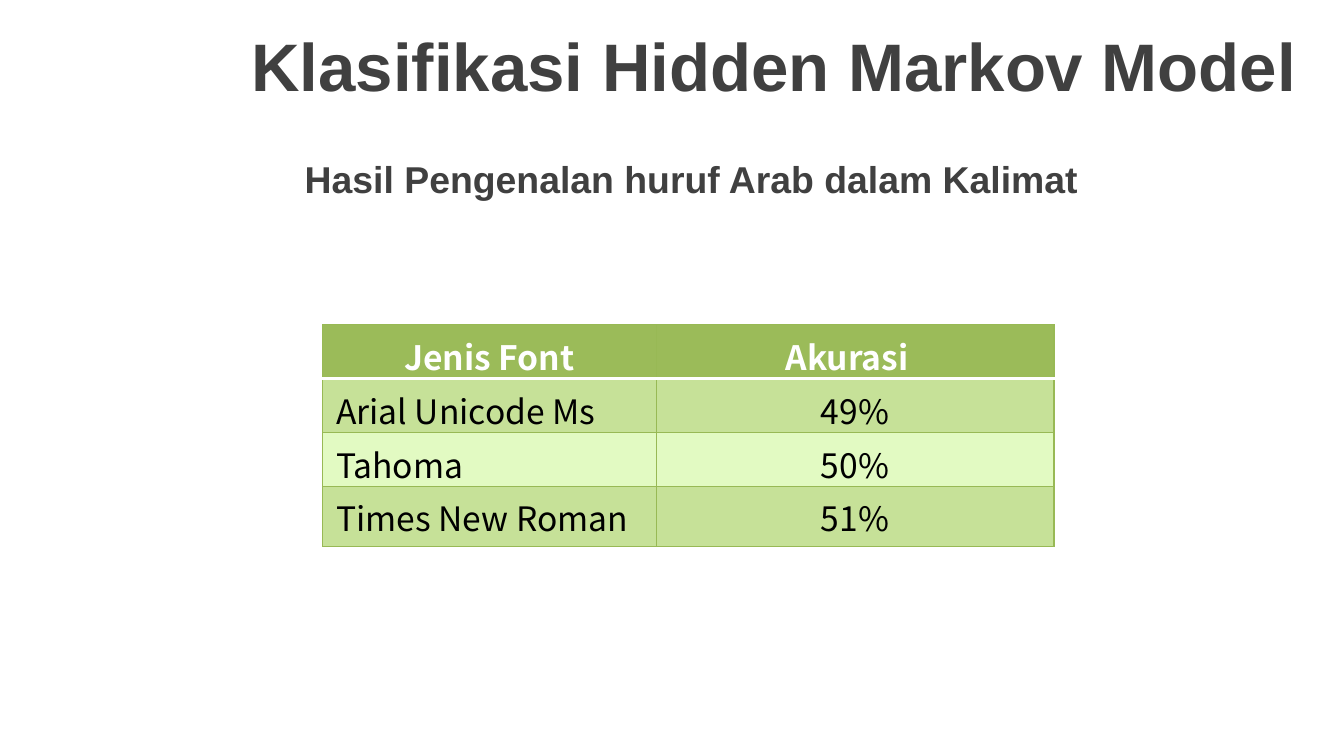
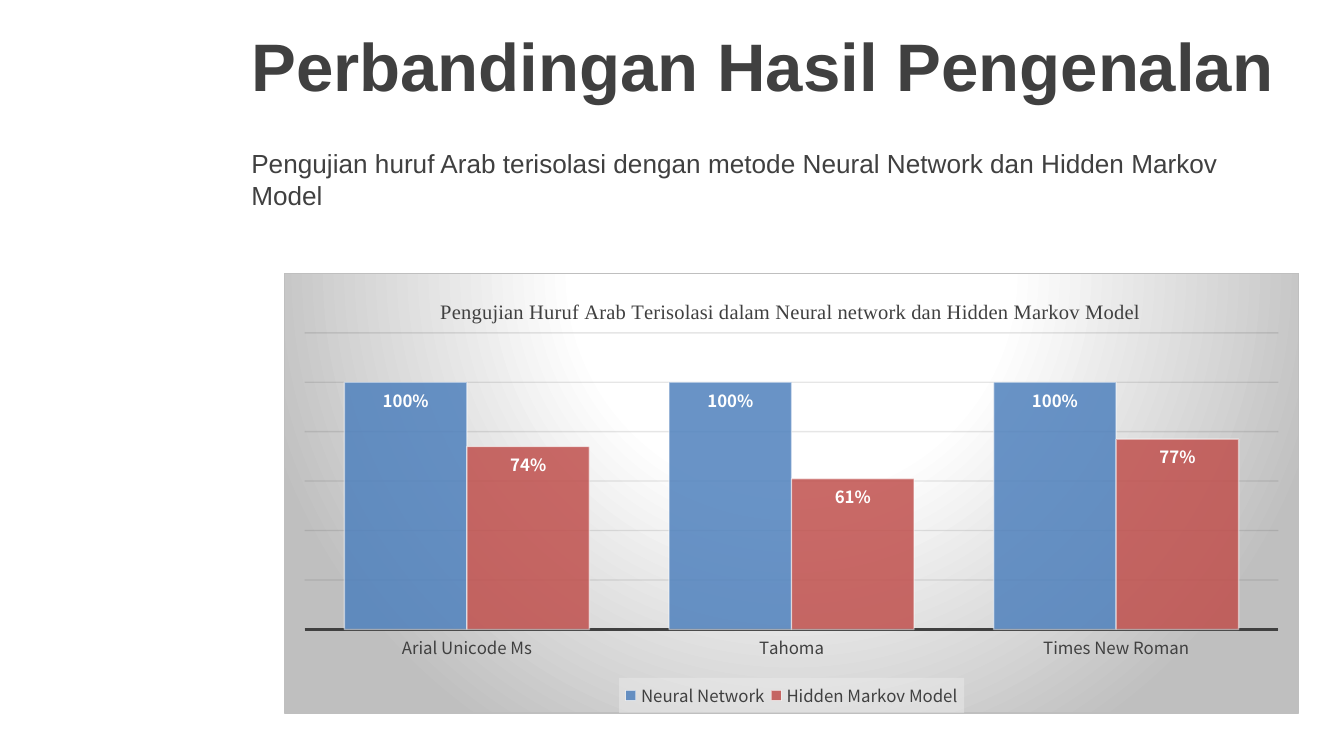
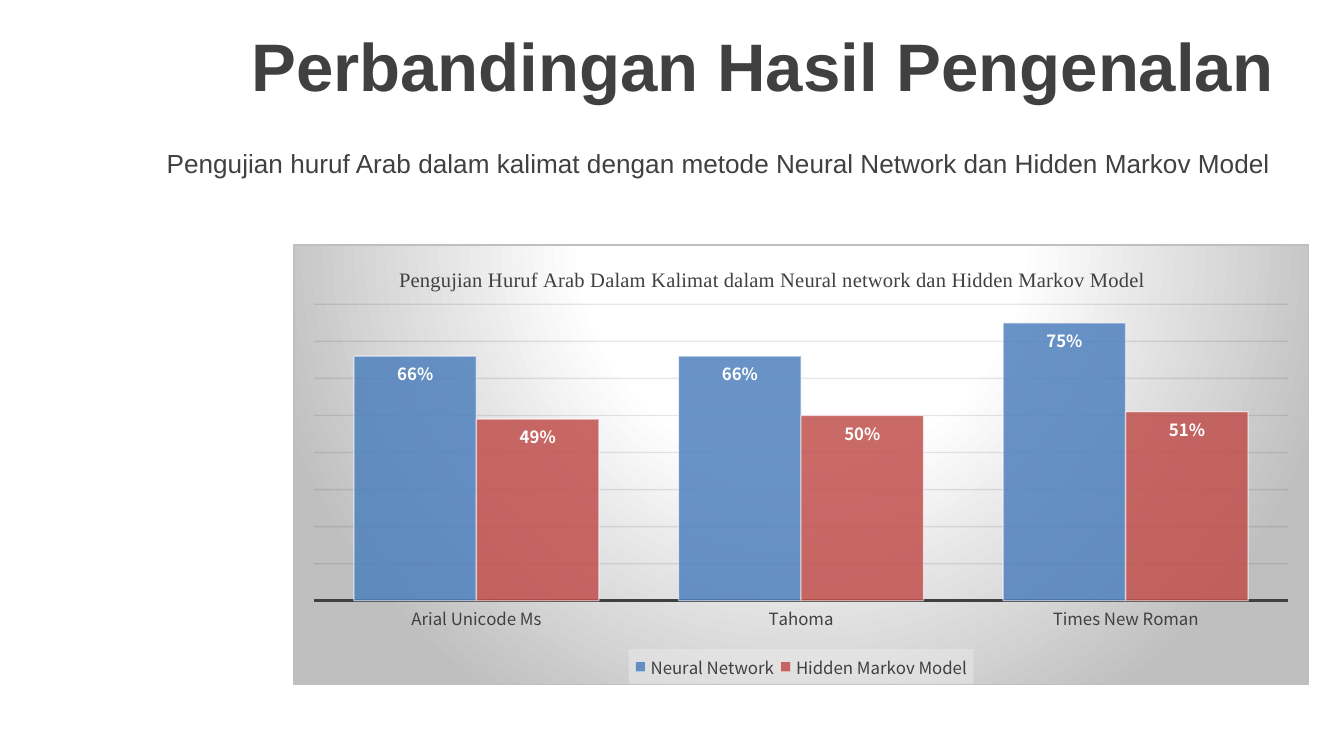
"""Build three slides on the results of Arabic letter recognition."""
from dataclasses import dataclass

from pptx import Presentation, oxml
from pptx.chart.data import CategoryChartData
from pptx.dml.color import RGBColor
from pptx.enum import chart as kinds, text
from pptx.oxml.ns import nsdecls, qn
from pptx.util import Cm, Pt


@dataclass(frozen=True)
class Theme:
    ink: str = "404040"
    black: str = "000000"
    white: str = "FFFFFF"
    head: str = "9BBB59"
    rule: str = "98B955"
    bands: tuple = ("C6E198", "E2FAC2")
    bars: tuple = ("4F81BD", "C0504D")
    grey: str = "BFBFBF"
    grid: str = "0D0D0D"
    key: str = "F2F2F2"
    sans: str = "Arial"
    noto: str = "Noto Sans CJK KR"
    serif: str = "Times New Roman"
    title: int = 36
    lead: int = 20
    body: int = 14
    cell: int = 18
    chart: int = 11
    label: int = 9


T = Theme()
EDGE = 24.7
FONTS = ["Arial Unicode Ms", "Tahoma", "Times New Roman"]
NAMES = ["Neural Network", "Hidden Markov Model"]

SCORES = {
    "title": "Klasifikasi Hidden Markov Model",
    "lead": "Hasil Pengenalan huruf Arab dalam Kalimat",
    "rows": [("Jenis Font", "Akurasi"), *zip(FONTS, ("49%", "50%", "51%"))],
    "cols": (6.3, 7.52),
    "tall": (0.89, 0.89, 0.89, 1.14),
}
PLOTS = [
    {
        "title": "Perbandingan Hasil Pengenalan",
        "lead": "Pengujian huruf Arab terisolasi dengan metode Neural Network dan Hidden Markov Model",
        "left": 4.5,
        "at": (5.36, 5.16),
        "head": "Pengujian Huruf Arab Terisolasi dalam Neural network dan Hidden Markov Model",
        "spot": (0.15, 0.05),
        "vals": [(1, 1, 1), (0.74, 0.61, 0.77)],
        "axis": (1.2, 0.2),
    },
    {
        "title": "Perbandingan Hasil Pengenalan",
        "lead": "Pengujian huruf Arab dalam kalimat dengan metode Neural Network dan Hidden Markov Model",
        "left": 2.9,
        "at": (5.54, 4.62),
        "head": "Pengujian Huruf Arab Dalam Kalimat dalam Neural network dan Hidden Markov Model",
        "spot": (0.1, 0.04),
        "vals": [(0.66, 0.66, 0.75), (0.49, 0.5, 0.51)],
        "axis": (0.8, 0.1),
    },
]


def rgb(tone):
    return RGBColor.from_string(tone)


def style(font, name, size, tone, bold=False):
    font.name, font.size, font.bold = name, Pt(size), bold
    font.color.rgb = rgb(tone)


def write(slide, words, box, size, bold=False, top=False):
    frame = slide.shapes.add_textbox(*map(Cm, box)).text_frame
    frame.word_wrap = True
    frame.vertical_anchor = text.MSO_ANCHOR.MIDDLE
    if top:
        frame.vertical_anchor = text.MSO_ANCHOR.TOP
        frame.margin_top = Cm(0.05)
    para = frame.paragraphs[0]
    para.text = words
    style(para.font, T.sans, size, T.ink, bold)


def start(deck, words):
    slide = deck.slides.add_slide(deck.slide_layouts[6])
    write(slide, words, (4.5, 0, 20.9, 2.46), T.title, True)
    return slide


def border(cell, tones):
    props = cell._tc.get_or_add_tcPr()
    for pos, (side, tone) in enumerate(zip("LRTB", tones)):
        width = Pt(2 if tone == T.white else 0.75)
        props.insert(pos, oxml.parse_xml(
            f'<a:ln{side} {nsdecls("a")} w="{width}"><a:solidFill>'
            f'<a:srgbClr val="{tone}"/></a:solidFill></a:ln{side}>'))


def scores(deck, data):
    slide = start(deck, data["title"])
    write(slide, data["lead"], (5.51, 2.74, 19.2, 1.27), T.lead, True)
    rows, cols, tall = data["rows"], data["cols"], data["tall"]
    table = slide.shapes.add_table(
        len(rows), len(cols), Cm(6.1), Cm(6.14), Cm(sum(cols)), Cm(sum(tall))).table
    for col, width in zip(table.columns, cols):
        col.width = Cm(width)
    for r, row in enumerate(rows):
        table.rows[r].height = Cm(tall[r])
        for c, words in enumerate(row):
            cell = table.cell(r, c)
            cell.fill.solid()
            cell.fill.fore_color.rgb = rgb(T.bands[(r - 1) % 2] if r else T.head)
            para = cell.text_frame.paragraphs[0]
            para.text = words
            style(para.font, T.noto, T.cell, T.black if r else T.white, not r)
            if c or not r:
                para.alignment = text.PP_ALIGN.CENTER
            border(cell, (T.rule, T.rule, T.white if r == 1 else T.rule,
                          T.rule if r else T.white))
    table.cell(0, 1).margin_right = Cm(0.55)


def fade(node, part):
    for tone in node.iter(qn("a:srgbClr")):
        tone.append(oxml.parse_xml(f'<a:alpha {nsdecls("a")} val="{part * 1000}"/>'))


def place(node, pos, spots, inner=False):
    for old in node.findall(qn("c:layout")):
        node.remove(old)
    aim = '<c:layoutTarget val="inner"/>' if inner else ""
    modes = "".join(f'<c:{k}Mode val="edge"/>' for k in "xy")
    sizes = "".join(f'<c:{k} val="{v}"/>' for k, v in zip("xywh", spots))
    node.insert(pos, oxml.parse_xml(
        f'<c:layout {nsdecls("c")}><c:manualLayout>{aim}{modes}{sizes}'
        '</c:manualLayout></c:layout>'))


def paint(node, inside):
    node.addnext(oxml.parse_xml(f'<c:spPr {nsdecls("c", "a")}>{inside}</c:spPr>'))


def back(chart):
    stops = ((0, T.white), (39, T.white), (100, T.grey))
    grad = "".join(f'<a:gs pos="{at * 1000}"><a:srgbClr val="{tone}"/></a:gs>'
                   for at, tone in stops)
    paint(chart._chartSpace.find(qn("c:chart")),
          f'<a:gradFill><a:gsLst>{grad}</a:gsLst><a:path path="circle">'
          '<a:fillToRect l="50000" t="-80000" r="50000" b="180000"/></a:path></a:gradFill>'
          f'<a:ln w="{Pt(0.75)}"><a:solidFill><a:srgbClr val="{T.grey}"/></a:solidFill></a:ln>')


def heading(chart, words, spot):
    title = chart.chart_title
    para = title.text_frame.paragraphs[0]
    para.text = words
    style(para.font, T.serif, T.chart, T.ink)
    title.include_in_layout = False
    place(title._element, 1, spot)


def legend(chart):
    chart.has_legend = True
    key = chart.legend
    key.position = kinds.XL_LEGEND_POSITION.BOTTOM
    key.include_in_layout = False
    style(key.font, T.noto, T.label, T.ink)
    node = key._element
    place(node, 1, (0.33, 0.92, 0.34, 0.08))
    paint(node.find(qn("c:overlay")),
          f'<a:solidFill><a:srgbClr val="{T.key}"><a:alpha val="39000"/>'
          '</a:srgbClr></a:solidFill>')


def axes(chart, top, step):
    cat, val = chart.category_axis, chart.value_axis
    cat.major_tick_mark = kinds.XL_TICK_MARK.NONE
    style(cat.tick_labels.font, T.noto, T.label, T.ink)
    cat.format.line.color.rgb = rgb(T.ink)
    cat.format.line.width = Pt(1.5)
    val.minimum_scale, val.maximum_scale, val.major_unit = 0, top, step
    val.visible = False
    line = val.major_gridlines.format.line
    line.color.rgb = rgb(T.grid)
    line.width = Pt(0.75)
    fade(val._element.find(qn("c:majorGridlines")), 10)


def bars(plot):
    plot.gap_width, plot.overlap, plot.vary_by_categories = 65, 0, False
    for ser, tone in zip(plot.series, T.bars):
        ser.format.fill.solid()
        ser.format.fill.fore_color.rgb = rgb(tone)
        fade(ser._element, 85)
        ser.format.line.color.rgb = rgb(T.white)
        ser.format.line.width = Pt(0.75)
        fade(next(ser._element.iter(qn("a:ln"))), 50)
    plot.has_data_labels = True
    tags = plot.data_labels
    tags.show_value = True
    tags.number_format, tags.number_format_is_linked = "0%", False
    tags.position = kinds.XL_LABEL_POSITION.INSIDE_END
    style(tags.font, T.noto, T.label, T.white, True)


def compare(deck, data):
    slide = start(deck, data["title"])
    left = data["left"]
    write(slide, data["lead"], (left, 2.74, EDGE - left, 1.27), T.body, top=True)
    feed = CategoryChartData(number_format="0%")
    feed.categories = FONTS
    for name, vals in zip(NAMES, data["vals"]):
        feed.add_series(name, vals)
    chart = slide.shapes.add_chart(
        kinds.XL_CHART_TYPE.COLUMN_CLUSTERED,
        *map(Cm, (*data["at"], 19.2, 8.33)), feed).chart
    style(chart.font, T.noto, 10, T.black)
    back(chart)
    heading(chart, data["head"], data["spot"])
    legend(chart)
    axes(chart, *data["axis"])
    bars(chart.plots[0])
    area = next(chart._chartSpace.iter(qn("c:plotArea")))
    place(area, 0, (0.02, 0.135, 0.96, 0.675), True)


def main():
    deck = Presentation()
    deck.slide_width, deck.slide_height = Cm(25.4), Cm(14.29)
    scores(deck, SCORES)
    for data in PLOTS:
        compare(deck, data)
    deck.save("out.pptx")


if __name__ == "__main__":
    main()
